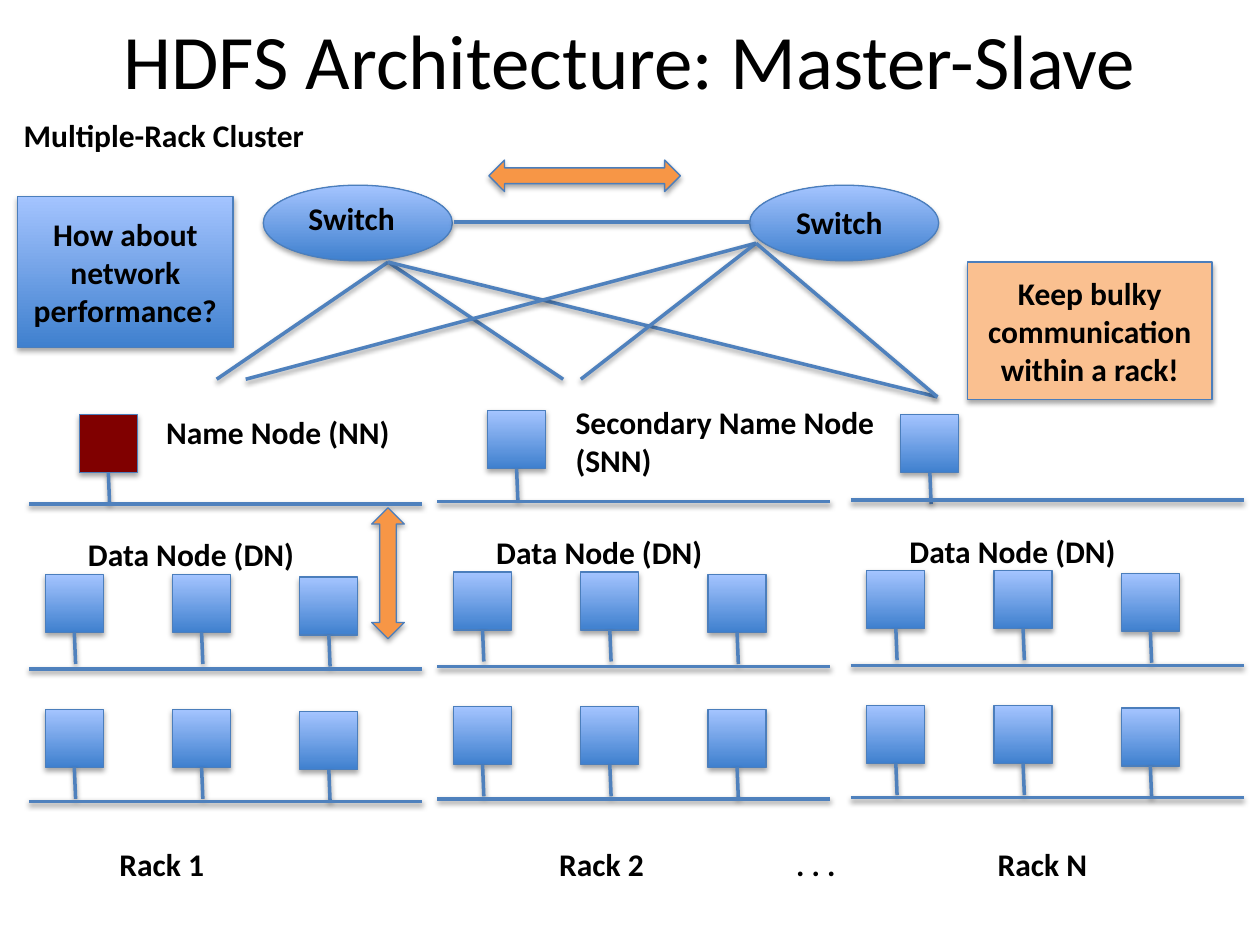
from lxml import etree
from pptx import Presentation
from pptx.dml.color import RGBColor
from pptx.enum.shapes import MSO_CONNECTOR, MSO_SHAPE
from pptx.enum.text import MSO_ANCHOR, MSO_AUTO_SIZE, PP_ALIGN
from pptx.oxml.ns import qn
from pptx.util import Inches, Pt

RECT, OVAL = MSO_SHAPE.RECTANGLE, MSO_SHAPE.OVAL
WIDE_ARROW, TALL_ARROW = MSO_SHAPE.LEFT_RIGHT_ARROW, MSO_SHAPE.UP_DOWN_ARROW
STRAIGHT = MSO_CONNECTOR.STRAIGHT
MIDDLE, TOP = MSO_ANCHOR.MIDDLE, MSO_ANCHOR.TOP
CENTER, LEFT = PP_ALIGN.CENTER, PP_ALIGN.LEFT
GROW, FIXED = MSO_AUTO_SIZE.SHAPE_TO_FIT_TEXT, MSO_AUTO_SIZE.NONE

BLUE_STOPS = ("3F80CE", "A4C4FF")
OUTLINE, WIRE = "4B7EBC", "4F81BD"
ORANGE, PEACH, MAROON, BLACK = "F79646", "FAC090", "800000", "000000"
LABEL = {"name": "Calibri", "size": Pt(18), "bold": True}
TITLE = {"name": "Calibri", "size": Pt(44), "bold": False}
NODE, STEM = 0.46, 0.25


def rgb(value):
    """Turn a hex string into a colour."""
    return RGBColor.from_string(value)


def add_shadow(sp, opacity, distance):
    """Give a shape or connector a soft shadow straight below it."""
    effects = etree.SubElement(sp._element.spPr, qn("a:effectLst"))
    shadow = etree.SubElement(
        effects, qn("a:outerShdw"), blurRad=str(Pt(3.1)), dist=str(Pt(distance)),
        dir="5400000", rotWithShape="0")
    color = etree.SubElement(shadow, qn("a:srgbClr"), val=BLACK)
    etree.SubElement(color, qn("a:alpha"), val=str(opacity * 1000))


def write(sp, text, font=LABEL, align=LEFT, anchor=TOP, size=FIXED):
    """Put one formatted paragraph into a shape."""
    tf = sp.text_frame
    settings = {"word_wrap": True, "auto_size": size, "vertical_anchor": anchor}
    for key, value in settings.items():
        setattr(tf, key, value)
    p = tf.paragraphs[0]
    p.alignment = align
    r = p.add_run()
    r.text = text
    for key, value in font.items():
        setattr(r.font, key, value)
    r.font.color.rgb = rgb(BLACK)


def add_text(s, box, text, **options):
    """Add a text box."""
    sp = s.shapes.add_textbox(*map(Inches, box))
    write(sp, text, **options)


def add_block(s, kind, box, color=None):
    """Add a shadowed shape, in the blue gradient unless a colour is given."""
    sp = s.shapes.add_shape(kind, *map(Inches, box))
    if color:
        sp.fill.solid()
        sp.fill.fore_color.rgb = rgb(color)
    else:
        sp.fill.gradient()
        sp.fill.gradient_angle = 90
        for i, (stop, value) in enumerate(zip(sp.fill.gradient_stops, BLUE_STOPS)):
            stop.position = i
            stop.color.rgb = rgb(value)
    sp.line.color.rgb = rgb(OUTLINE)
    sp.line.width = Pt(0.75)
    add_shadow(sp, 35, 1.8)
    return sp


def add_wire(s, start, end):
    """Add a straight shadowed line between two points."""
    wire = s.shapes.add_connector(STRAIGHT, *map(Inches, (*start, *end)))
    wire.line.color.rgb = rgb(WIRE)
    wire.line.width = Pt(2)
    add_shadow(wire, 38, 1.6)
    return wire


def add_node(s, left, top, color=None):
    """Add a machine with the stem that hangs below it."""
    sp = add_block(s, RECT, (left, top, NODE, NODE), color)
    middle, bottom = left + NODE / 2, top + NODE
    stem = add_wire(s, (middle, bottom), (middle + 0.01, bottom + STEM))
    stem.begin_connect(sp, 2)


def add_rack(s, left, top, head_top, head_color=None):
    """Add a rack whose upper bus starts at left, top."""
    add_node(s, left + 0.4, head_top, head_color)
    for row_top in (top + 0.56, top + 1.63):
        for i, drop in enumerate((0, 0, 0.02)):
            add_node(s, left + 0.13 + 1.01 * i, row_top + drop)
    for bus in (0, 1.31, 2.36):
        add_wire(s, (left, top + bus), (left + 3.12, top + bus))
    add_text(s, (left + 0.37, top + 0.2, 2.1, 0.28), "Data Node (DN)", size=GROW)


def add_switches(s, left, top):
    """Add both switches and the wires down to the racks."""
    for offset, label_left, label_top in ((0, 0.26, 0.06), (3.86, 0.27, 0.09)):
        x = left + offset
        add_block(s, OVAL, (x, top, 1.5, 0.6))
        add_text(s, (x + label_left, top + label_top, 1.06, 0.4), "Switch", size=GROW)
    add_wire(s, (left + 1.51, top + 0.29), (left + 3.86, top + 0.29))
    uplinks = {
        (left + 0.99, top + 0.61): ((1.72, 3.01), (4.47, 3.01), (7.44, 3.15)),
        (left + 3.91, top + 0.46): ((1.95, 3.01), (4.61, 3.01), (7.44, 3.15)),
    }
    for start, ends in uplinks.items():
        for end in ends:
            add_wire(s, start, end)


def add_labels(s):
    """Add the cluster, name node and rack captions."""
    for box, text in (
        ((0.09, 0.87, 2.53, 0.4), "Multiple-Rack Cluster"),
        ((1.22, 3.23, 2.1, 0.28), "Name Node (NN)"),
        ((4.47, 3.15, 2.7, 0.71), "Secondary Name Node (SNN)"),
        ((0.85, 6.66, 1.06, 0.4), "Rack 1"),
        ((4.34, 6.66, 1.06, 0.4), "Rack 2"),
        ((6.22, 6.66, 0.67, 0.4), ". . ."),
        ((7.82, 6.66, 1.06, 0.4), "Rack N"),
    ):
        add_text(s, box, text, size=GROW)


def add_callouts(s):
    """Add the traffic arrows and the two remarks."""
    add_block(s, TALL_ARROW, (2.95, 4.03, 0.26, 1.04), ORANGE)
    add_block(s, WIDE_ARROW, (3.88, 1.27, 1.52, 0.25), ORANGE)
    for box, color, text in (
        ((7.68, 2.08, 1.94, 1.09), PEACH, "Keep bulky communication within a rack!"),
        ((0.14, 1.56, 1.71, 1.2), None, "How about network performance?"),
    ):
        write(add_block(s, RECT, box, color), text, align=CENTER, anchor=MIDDLE)


def main():
    """Build the slide and save it."""
    prs = Presentation()
    prs.slide_width, prs.slide_height = Inches(10), Inches(7.5)
    s = prs.slides.add_slide(prs.slide_layouts[6])
    add_text(s, (0.5, -0.16, 9, 1.25), "HDFS Architecture: Master-Slave",
             font=TITLE, align=CENTER, anchor=MIDDLE)
    add_rack(s, 0.23, 4, 3.29, MAROON)
    add_rack(s, 3.47, 3.98, 3.26)
    add_rack(s, 6.75, 3.97, 3.29)
    add_switches(s, 2.09, 1.47)
    add_labels(s)
    add_callouts(s)
    prs.save("out.pptx")


if __name__ == "__main__":
    main()
